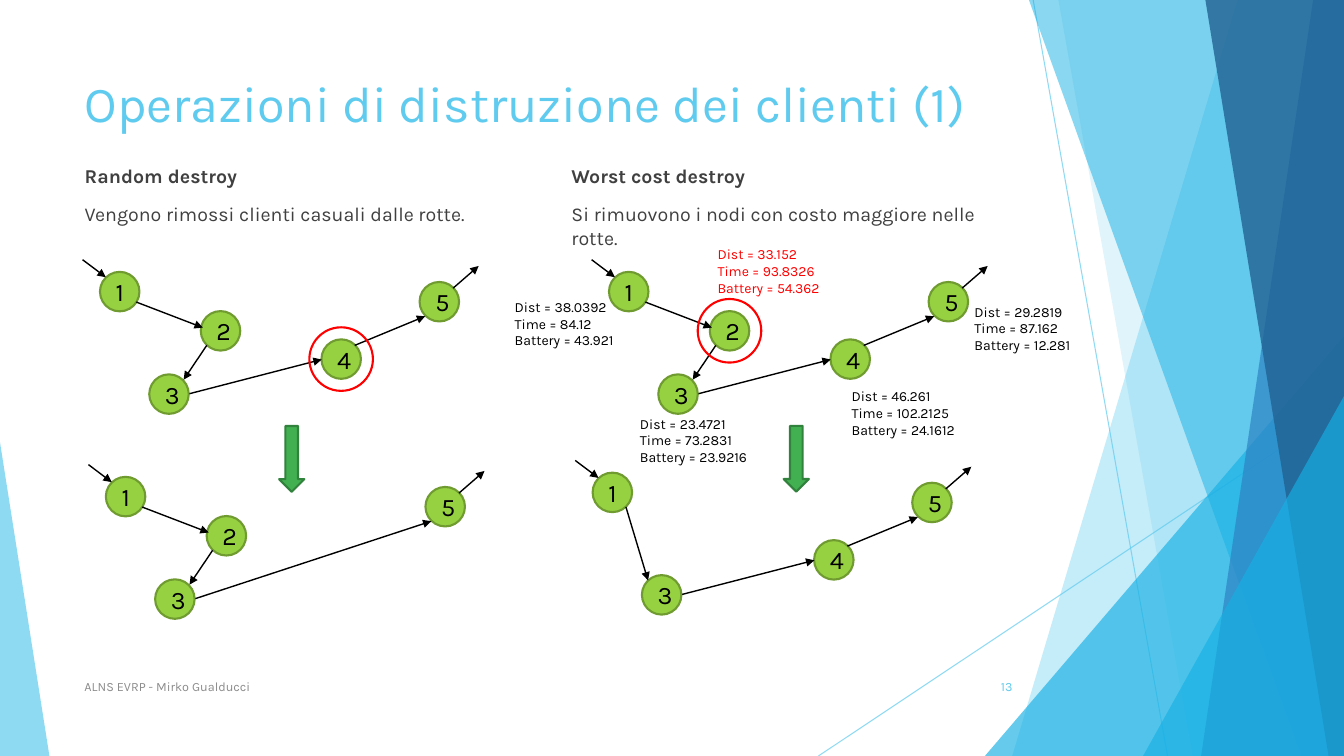
from dataclasses import dataclass
from typing import NamedTuple, Optional

from lxml.etree import SubElement
from pptx import Presentation
from pptx.dml.color import RGBColor
from pptx.enum.shapes import MSO_CONNECTOR, MSO_SHAPE
from pptx.enum.text import MSO_ANCHOR as Anchor, MSO_AUTO_SIZE as AutoSize, PP_ALIGN as Align
from pptx.oxml.ns import qn
from pptx.shapes.autoshape import Shape
from pptx.shapes.connector import Connector
from pptx.slide import Slide
from pptx.text.text import _Paragraph as Paragraph
from pptx.util import Pt


@dataclass(frozen=True)
class Theme:
    font: str = "Karla"
    sky: str = "5FCBEF"
    cyan: str = "17B0E4"
    blue: str = "2E83C3"
    navy: str = "226292"
    body: str = "404040"
    muted: str = "8C8C8C"
    black: str = "000000"
    red: str = "FF0000"
    node: str = "96D141"
    node_line: str = "6F9B30"
    arrow: str = "42B051"
    arrow_line: str = "31823C"
    title_size: float = 36
    node_size: float = 18
    body_size: float = 14
    cost_size: float = 10
    footer_size: float = 9


THEME = Theme()
WIDTH, HEIGHT = 960, 540
NODE, RING = 28.2, 45.4


class Point(NamedTuple):
    x: float
    y: float


class Box(NamedTuple):
    left: float
    top: float
    width: float
    height: float


class Band(NamedTuple):
    """A facet reaching from a slanted left edge to the right slide edge."""
    top_x: float
    bottom_x: float
    color: str
    opacity: int


class Corner(NamedTuple):
    """A right triangle whose apex is at the left (0) or right (1) of its box."""
    box: Box
    apex: int
    color: str
    opacity: int


class Route(NamedTuple):
    origin: Point
    stops: str
    removed: Optional[str] = None


class Cost(NamedTuple):
    box: Box
    distance: str
    time: str
    battery: str
    color: str = THEME.black


class Column(NamedTuple):
    left: float
    heading: str
    text: str


FACETS = [
    Band(884, 723, THEME.sky, 36),
    Band(756, 852, THEME.sky, 20),
    Corner(Box(703.5, 240, 256.5, 300), 1, THEME.cyan, 66),
    Band(735, 929.5, THEME.cyan, 50),
    Band(938, 858, THEME.blue, 70),
    Band(861, 949, THEME.navy, 80),
    Corner(Box(816.5, 283, 143.5, 257), 1, THEME.cyan, 66),
    Corner(Box(0, 316, 35.3, 224), 0, THEME.sky, 70),
]
FACET_LINES = [(Point(738, 0), Point(834, HEIGHT)), (Point(WIDTH, 290), Point(584.6, HEIGHT))]

# Places relative to the first stop of a route; "<" and ">" are its open ends.
STOPS = {"1": Point(0, 0), "2": Point(72, 28), "3": Point(35.2, 73.2),
         "4": Point(158.2, 48.2), "5": Point(228.3, 7.2)}
LEGS = {
    "<1": (Point(-12.4, -8.7), Point(4.2, 3.8)),
    "12": (Point(26, 21.6), Point(73.5, 39.8)),
    "13": (Point(23.8, 24.5), Point(39.6, 77)),
    "23": (Point(76.3, 52.5), Point(59.8, 77)),
    "34": (Point(64, 87), Point(158.4, 62.6)),
    "35": (Point(64, 87), Point(232.5, 31.7)),
    "45": (Point(182, 52.5), Point(232.3, 31.7)),
    "5>": (Point(252.3, 11.6), Point(270.5, -4.2)),
}
ROUTES = [
    Route(Point(71.4, 194.2), "12345", "4"),
    Route(Point(75.6, 340.6), "1235"),
    Route(Point(435, 194.2), "12345", "2"),
    Route(Point(423.3, 337.6), "1345"),
]
COSTS = [
    Cost(Box(360.6, 209.5, 89.3, 44), "38.0392", "84.12", "43.921"),
    Cost(Box(450, 293, 94.3, 44), "23.4721", "73.2831", "23.9216"),
    Cost(Box(505.5, 172, 89.3, 44), "33.152", "93.8326", "54.362", THEME.red),
    Cost(Box(601.2, 273.2, 94.3, 44), "46.261", "102.2125", "24.1612"),
    Cost(Box(689, 213, 89.3, 44), "29.2819", "87.162", "12.281"),
]
STEP_ARROWS = [Box(199.4, 304.3, 18, 47), Box(559.8, 304.2, 18, 47)]
COLUMNS = [
    Column(53.3, "Random destroy", "Vengono rimossi clienti casuali dalle rotte."),
    Column(401, "Worst cost destroy", "Si rimuovono i nodi con costo maggiore nelle rotte."),
]


def in_points(values: tuple) -> list:
    return [Pt(value) for value in values]


def rgb(color: str) -> RGBColor:
    return RGBColor.from_string(color)


def set_font(paragraph: Paragraph, size: float, color: str, bold: bool = False) -> None:
    font = paragraph.font
    font.name, font.size, font.bold = THEME.font, Pt(size), bold
    font.color.rgb = rgb(color)


def set_opacity(shape: Shape | Connector, percent: int) -> None:
    for color in shape.element.iter(qn("a:srgbClr")):
        SubElement(color, qn("a:alpha"), val=str(percent * 1000))


def paint(shape: Shape, fill: Optional[str], line: Optional[str]) -> None:
    shape.shadow.inherit = False
    if fill:
        shape.fill.solid()
        shape.fill.fore_color.rgb = rgb(fill)
    else:
        shape.fill.background()
    if line:
        shape.line.color.rgb = rgb(line)
        shape.line.width = Pt(1.5)
    else:
        shape.line.fill.background()


def add_line(slide: Slide, start: Point, end: Point, color: str, width: float) -> Connector:
    line = slide.shapes.add_connector(MSO_CONNECTOR.STRAIGHT, *in_points(start + end))
    line.line.color.rgb = rgb(color)
    line.line.width = Pt(width)
    SubElement(line.element.spPr, qn("a:effectLst"))
    return line


def add_facet(slide: Slide, facet: Band | Corner) -> None:
    if isinstance(facet, Corner):
        shape = slide.shapes.add_shape(MSO_SHAPE.ISOSCELES_TRIANGLE, *in_points(facet.box))
        shape.adjustments[0] = facet.apex
    else:
        builder = slide.shapes.build_freeform(Pt(facet.top_x), 0)
        corners = [(WIDTH, 0), (WIDTH, HEIGHT), (facet.bottom_x, HEIGHT)]
        builder.add_line_segments([in_points(corner) for corner in corners])
        shape = builder.convert_to_shape()
    paint(shape, facet.color, None)
    set_opacity(shape, facet.opacity)


def add_text(slide: Slide, box: Box, lines: list[str], size: float, color: str,
             anchor: Anchor = Anchor.TOP, align: Align = Align.LEFT) -> None:
    frame = slide.shapes.add_textbox(*in_points(box)).text_frame
    frame.word_wrap, frame.vertical_anchor = True, anchor
    frame.text = "\n".join(lines)
    for paragraph in frame.paragraphs:
        paragraph.alignment = align
        set_font(paragraph, size, color)


def fill_placeholder(shape: Shape, box: Box, lines: list[str]) -> list[Paragraph]:
    shape.left, shape.top, shape.width, shape.height = in_points(box)
    frame = shape.text_frame
    frame.text = "\n".join(lines)
    frame.auto_size, frame.vertical_anchor = AutoSize.NONE, Anchor.TOP
    for paragraph in frame.paragraphs:
        paragraph.alignment, paragraph.line_spacing = Align.LEFT, 1.0
    return list(frame.paragraphs)


def fill_column(shape: Shape, column: Column) -> None:
    box = Box(column.left, 113.8, 329.8, 362)
    for index, paragraph in enumerate(fill_placeholder(shape, box, [column.heading, column.text])):
        paragraph.space_before = Pt(10)
        properties = paragraph._p.get_or_add_pPr()
        properties.set("marL", "0")
        properties.set("indent", "0")
        SubElement(properties, qn("a:buNone"))
        set_font(paragraph, THEME.body_size, THEME.body, bold=index == 0)


def add_route(slide: Slide, route: Route) -> None:
    def place(point: Point) -> Point:
        return Point(route.origin.x + point.x, route.origin.y + point.y)

    for stop in route.stops:
        corner = place(STOPS[stop])
        node = slide.shapes.add_shape(MSO_SHAPE.OVAL, *in_points((*corner, NODE, NODE)))
        paint(node, THEME.node, THEME.node_line)
        frame = node.text_frame
        frame.text, frame.vertical_anchor = stop, Anchor.MIDDLE
        frame.paragraphs[0].alignment = Align.CENTER
        set_font(frame.paragraphs[0], THEME.node_size, THEME.black)
    for leg in zip("<" + route.stops, route.stops + ">"):
        start, end = LEGS["".join(leg)]
        arrow = add_line(slide, place(start), place(end), THEME.black, 1)
        SubElement(arrow.get_or_add_ln(), qn("a:tailEnd"), type="triangle")
    if route.removed:
        corner, margin = place(STOPS[route.removed]), (RING - NODE) / 2
        box = Box(corner.x - margin, corner.y - margin, RING, RING)
        ring = slide.shapes.add_shape(MSO_SHAPE.FLOWCHART_CONNECTOR, *in_points(box))
        paint(ring, None, THEME.red)


def main() -> None:
    presentation = Presentation()
    presentation.slide_width, presentation.slide_height = Pt(WIDTH), Pt(HEIGHT)
    slide = presentation.slides.add_slide(presentation.slide_layouts.get_by_name("Two Content"))
    for start, end in FACET_LINES:
        set_opacity(add_line(slide, start, end, THEME.sky, 0.75), 70)
    for facet in FACETS:
        add_facet(slide, facet)
    title, *bodies = slide.placeholders
    heading = fill_placeholder(title, Box(53.3, 48, 677, 62.6),
                               ["Operazioni di distruzione dei clienti (1)"])
    set_font(heading[0], THEME.title_size, THEME.sky)
    for body, column in zip(bodies, COLUMNS):
        fill_column(body, column)
    add_text(slide, Box(53.3, 476, 496, 28.8), ["ALNS EVRP - Mirko Gualducci"],
             THEME.footer_size, THEME.muted, Anchor.MIDDLE)
    add_text(slide, Box(676.3, 476, 54, 28.8), ["13"],
             THEME.footer_size, THEME.sky, Anchor.MIDDLE, Align.RIGHT)
    for route in ROUTES:
        add_route(slide, route)
    for cost in COSTS:
        lines = [f"Dist = {cost.distance}", f"Time = {cost.time}", f"Battery = {cost.battery}"]
        add_text(slide, cost.box, lines, THEME.cost_size, cost.color)
    for box in STEP_ARROWS:
        arrow = slide.shapes.add_shape(MSO_SHAPE.DOWN_ARROW, *in_points(box))
        paint(arrow, THEME.arrow, THEME.arrow_line)
    presentation.save("out.pptx")


if __name__ == "__main__":
    main()
